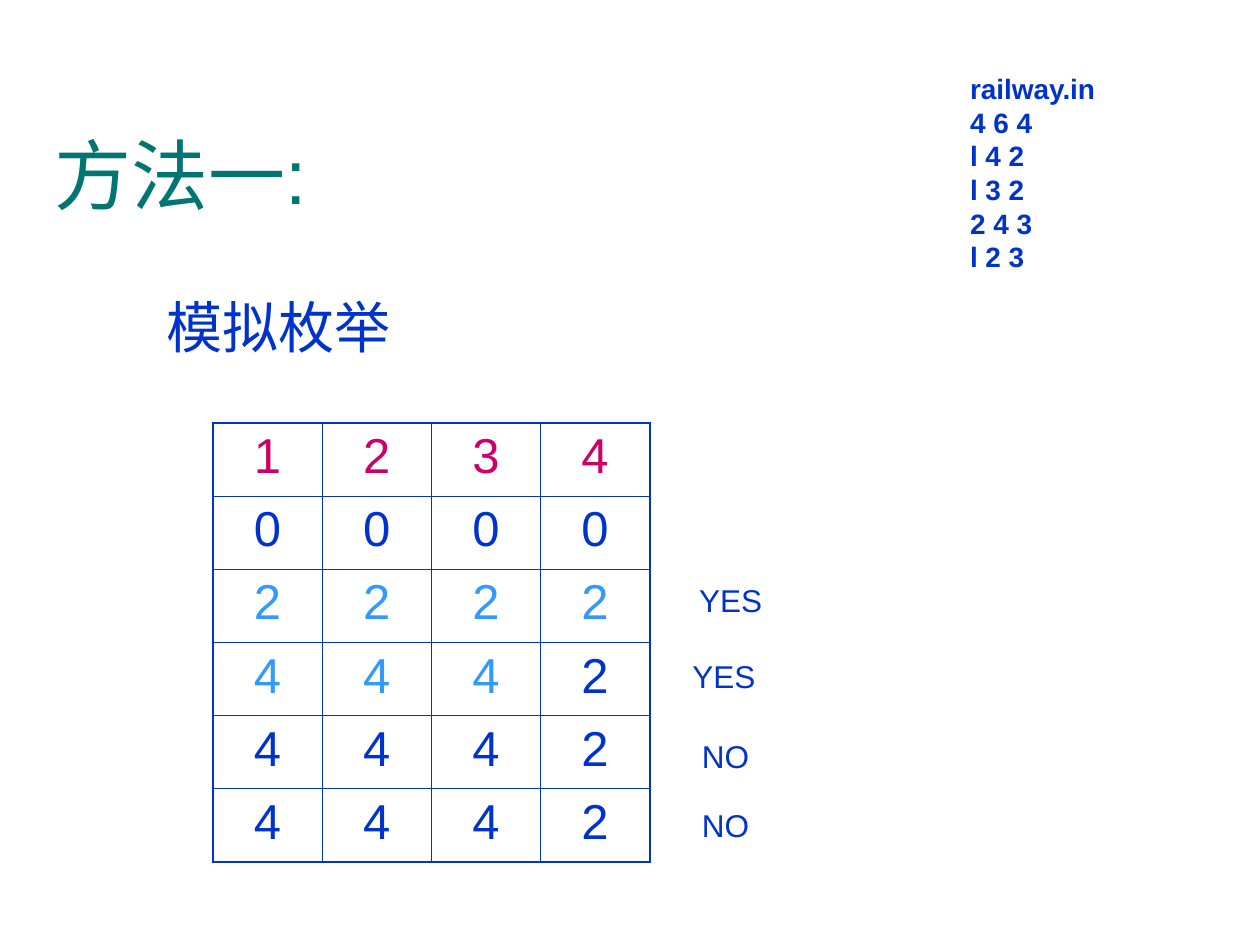
from lxml import etree
from pptx import Presentation
from pptx import util as u
from pptx.dml.color import RGBColor
from pptx.enum import text
from pptx.oxml import ns

BLUE, TEAL, PINK, SKY = "0033CC", "007572", "CC0066", "3399FF"
THIN, THICK = 0.45, 1.08


def rgb(value):
    return RGBColor.from_string(value)


def set_font(p, size, color, bold=False):
    p.font.name = "Arial"
    p.font.size = u.Pt(size)
    p.font.bold = bold
    p.font.color.rgb = rgb(color)


def add_text(s, words, box, size, color=BLUE, bold=False, wrap=False):
    sp = s.shapes.add_textbox(*map(u.Pt, box))
    tf = sp.text_frame
    tf.word_wrap = wrap
    if wrap:
        tf.auto_size = text.MSO_AUTO_SIZE.NONE
        tf.vertical_anchor = text.MSO_ANCHOR.MIDDLE
    else:
        tf.auto_size = text.MSO_AUTO_SIZE.SHAPE_TO_FIT_TEXT
    p = tf.paragraphs[0]
    p.text = words
    set_font(p, size, color, bold)


def set_borders(cell, widths):
    """Draw the left, right, top and bottom lines, in that order."""
    tc_pr = cell._tc.get_or_add_tcPr()
    for i, (side, width) in enumerate(zip("LRTB", widths)):
        ln = etree.Element(ns.qn(f"a:ln{side}"), w=str(u.Pt(width)))
        fill = etree.SubElement(ln, ns.qn("a:solidFill"))
        etree.SubElement(fill, ns.qn("a:srgbClr"), val=BLUE)
        tc_pr.insert(i, ln)


def add_grid(s, rows, left, top, col_width, row_height):
    n_rows, n_cols = len(rows), len(rows[0][0])
    frame = s.shapes.add_table(n_rows, n_cols, u.Pt(left), u.Pt(top),
                               u.Pt(col_width * n_cols),
                               u.Pt(row_height * n_rows))
    table = frame.table
    table.first_row = table.horz_banding = False
    for col in table.columns:
        col.width = u.Pt(col_width)
    for i, (values, colors) in enumerate(rows):
        table.rows[i].height = u.Pt(row_height)
        for j, (value, color) in enumerate(zip(values, colors)):
            cell = table.cell(i, j)
            cell.fill.background()
            p = cell.text_frame.paragraphs[0]
            p.text = value
            p.alignment = text.PP_ALIGN.CENTER
            set_font(p, 28, color)
            outer = (j == 0, j == n_cols - 1, i == 0, i == n_rows - 1)
            set_borders(cell, [THICK if edge else THIN for edge in outer])


def main():
    prs = Presentation()
    prs.slide_width, prs.slide_height = u.Pt(720), u.Pt(540)
    s = prs.slides.add_slide(prs.slide_layouts[6])

    # Headings and sample input
    add_text(s, "方法一:", (24, 54, 672, 90), 44, TEAL, wrap=True)
    add_text(s, "模拟枚举", (88, 163.5, 142.5, 46), 32)
    add_text(s, "railway.in\n4 6 4\nl 4 2\nl 3 2\n2 4 3\nl 2 3",
             (547.2, 37.5, 87, 122.4), 16, bold=True)

    # State of each section after every request
    rows = [
        ("1234", [PINK] * 4),
        ("0000", [BLUE] * 4),
        ("2222", [SKY] * 4),
        ("4442", [SKY] * 3 + [BLUE]),
        ("4442", [BLUE] * 4),
        ("4442", [BLUE] * 4),
    ]
    add_grid(s, rows, 121.7, 241.8, 62.4, 41.8)

    # Answers beside the last four rows
    for answer, left, top, width in (("YES", 392.4, 328.5, 51),
                                     ("YES", 388.6, 372, 51),
                                     ("NO", 394, 417.6, 43),
                                     ("NO", 394, 457.2, 43)):
        add_text(s, answer, (left, top, width, 28.8), 18)

    prs.save("out.pptx")


if __name__ == "__main__":
    main()
